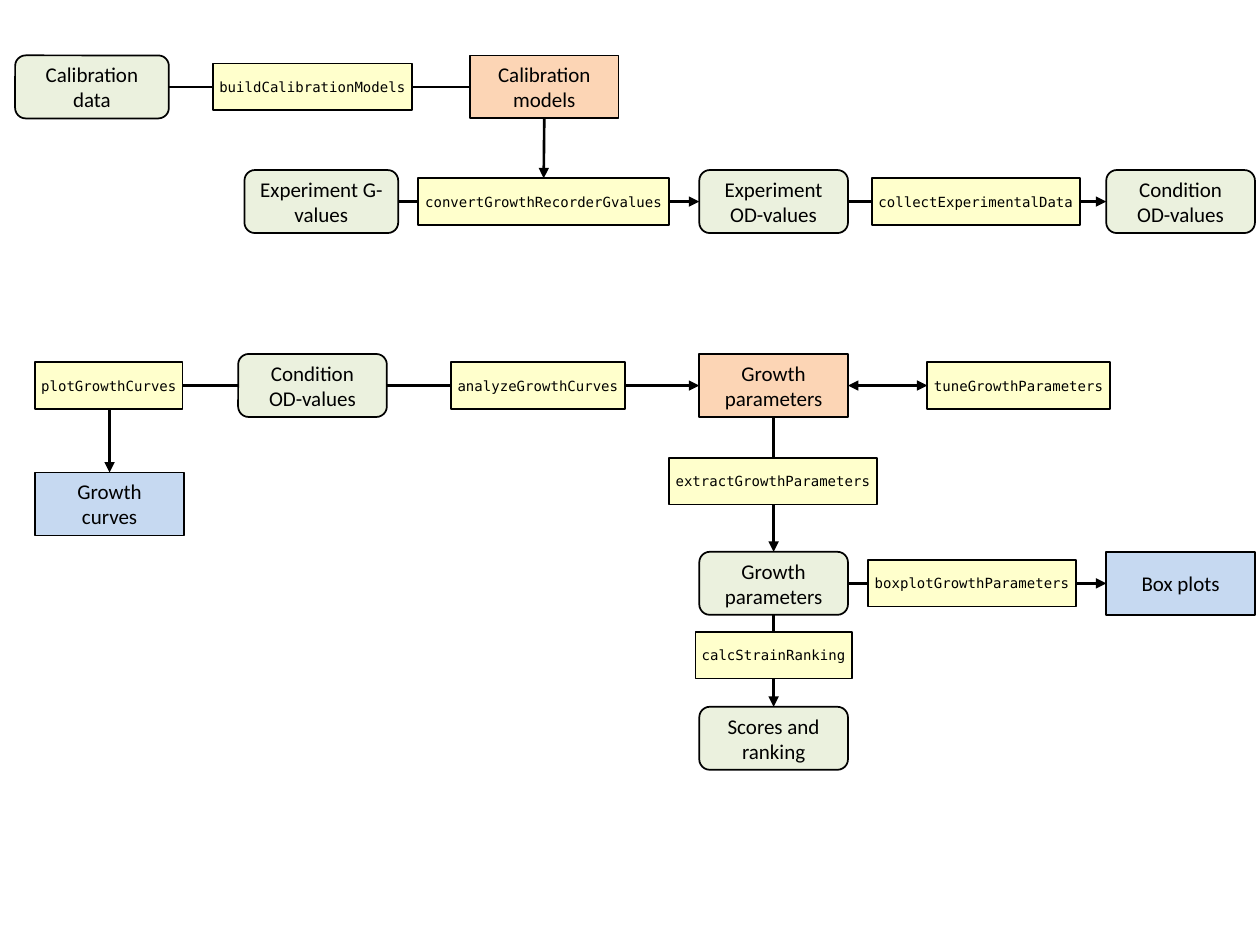
from dataclasses import dataclass

from lxml.etree import SubElement
from pptx import Presentation
from pptx.dml.color import RGBColor
from pptx.enum.shapes import MSO_CONNECTOR, MSO_SHAPE
from pptx.enum.text import MSO_ANCHOR, MSO_AUTO_SIZE, PP_ALIGN
from pptx.oxml.ns import qn
from pptx.util import Inches, Pt

TOP, LEFT, BOTTOM, RIGHT = range(4)


@dataclass(frozen=True)
class Theme:
    ink: str = "000000"
    data: str = "EBF1DE"
    model: str = "FCD5B5"
    plot: str = "C6D9F1"
    code: str = "FFFFCC"
    body: str = "Calibri"
    mono: str = "DejaVu Sans Mono"
    body_size: float = 12
    mono_size: float = 8
    edge: float = 1
    arrow: float = 1.5


class Flow:
    def __init__(self, slide, theme):
        self.shapes = slide.shapes
        self.theme = theme

    def box(self, kind, text, left, mid, width, height, fill, font, size):
        """Add a labelled box whose vertical middle is at mid."""
        shape = self.shapes.add_shape(
            kind, Inches(left), Inches(mid - height / 2), Inches(width), Inches(height))
        shape.shadow.inherit = False
        shape.fill.solid()
        shape.fill.fore_color.rgb = RGBColor.from_string(fill)
        ink = RGBColor.from_string(self.theme.ink)
        shape.line.color.rgb = ink
        shape.line.width = Pt(self.theme.edge)
        frame = shape.text_frame
        frame.word_wrap = True
        frame.vertical_anchor = MSO_ANCHOR.MIDDLE
        frame.text = text
        para = frame.paragraphs[0]
        para.alignment = PP_ALIGN.CENTER
        para.font.name = font
        para.font.size = Pt(size)
        para.font.color.rgb = ink
        return shape

    def data(self, text, left, mid, width=1.18):
        return self.box(MSO_SHAPE.ROUNDED_RECTANGLE, text, left, mid, width, 0.5,
                        self.theme.data, self.theme.body, self.theme.body_size)

    def result(self, text, left, mid, fill):
        return self.box(MSO_SHAPE.RECTANGLE, text, left, mid, 1.18, 0.5,
                        fill, self.theme.body, self.theme.body_size)

    def code(self, text, left, mid, width):
        shape = self.box(MSO_SHAPE.RECTANGLE, text, left, mid, width, 0.37,
                         self.theme.code, self.theme.mono, self.theme.mono_size)
        frame = shape.text_frame
        frame.word_wrap = False
        frame.auto_size = MSO_AUTO_SIZE.SHAPE_TO_FIT_TEXT
        frame.margin_left = frame.margin_right = Inches(0.04)
        frame.margin_top = frame.margin_bottom = Inches(0.12)
        return shape

    def link(self, start, out, end=None, into=None, stop=(0, 0), both=False, bent=False):
        """Join two boxes, or run from one box to the point stop."""
        kind = MSO_CONNECTOR.ELBOW if bent else MSO_CONNECTOR.STRAIGHT
        x, y = (Inches(v) for v in stop)
        line = self.shapes.add_connector(kind, x, y, x, y)
        line.begin_connect(start, out)
        if end is not None:
            line.end_connect(end, into)
        line.line.color.rgb = RGBColor.from_string(self.theme.ink)
        line.line.width = Pt(self.theme.arrow)
        props = line._element.spPr
        if bent:
            props.find(qn("a:prstGeom")).set("prst", "bentConnector2")
        stroke = props.find(qn("a:ln"))
        for tip in ("a:headEnd", "a:tailEnd") if both else ("a:tailEnd",):
            SubElement(stroke, qn(tip)).set("type", "triangle")
        SubElement(props, qn("a:effectLst"))


def main():
    deck = Presentation()
    deck.slide_width, deck.slide_height = Inches(10), Inches(7.5)
    theme = Theme()
    flow = Flow(deck.slides.add_slide(deck.slide_layouts[6]), theme)

    calib, convert, analyze, summary = 0.69, 1.6, 3.06, 4.63
    main_x, far_x = 5.55, 8.78

    # The first arrow ends beneath the models box
    source = flow.data("Calibration data", 0.12, calib, 1.22)
    flow.link(source, RIGHT, stop=(3.86, calib))
    models = flow.result("Calibration models", 3.73, calib, theme.model)

    raw = flow.data("Experiment G-values", 1.94, convert, 1.22)
    density = flow.data("Experiment OD-values", main_x, convert)
    pooled = flow.data("Condition OD-values", far_x, convert)
    input_od = flow.data("Condition OD-values", 1.89, analyze)
    fitted = flow.result("Growth parameters", main_x, analyze, theme.model)
    curves = flow.result("Growth curves", 0.28, 4, theme.plot)
    table = flow.data("Growth parameters", main_x, summary)
    boxes = flow.result("Box plots", far_x, summary, theme.plot)
    scores = flow.data("Scores and ranking", main_x, 5.86)

    for start, end in ((raw, density), (density, pooled), (input_od, fitted), (table, boxes)):
        flow.link(start, RIGHT, end, LEFT)
    for start, end in ((fitted, table), (table, scores)):
        flow.link(start, BOTTOM, end, TOP)
    flow.link(input_od, LEFT, curves, TOP, bent=True)

    steps = {
        name: flow.code(name, left, mid, width)
        for name, left, mid, width in (
            ("buildCalibrationModels", 1.69, calib, 1.58),
            ("convertCultureRecorderGvalues"[:7] + "GrowthRecorderGvalues", 3.32, convert, 1.99),
            ("collectExperimentalData", 6.92, convert, 1.65),
            ("plotGrowthCurves", 0.28, analyze, 1.17),
            ("analyzeGrowthCurves", 3.58, analyze, 1.38),
            ("tuneGrowthParameters", 7.36, analyze, 1.45),
            ("extractGrowthParameters", 5.31, 3.82, 1.65),
            ("boxplotGrowthParameters", 6.89, summary, 1.65),
            ("calcStrainRanking", 5.52, 5.2, 1.24),
        )
    }
    flow.link(models, BOTTOM, steps["convertGrowthRecorderGvalues"], TOP)
    flow.link(fitted, RIGHT, steps["tuneGrowthParameters"], LEFT, both=True)

    deck.save("out.pptx")


if __name__ == "__main__":
    main()
